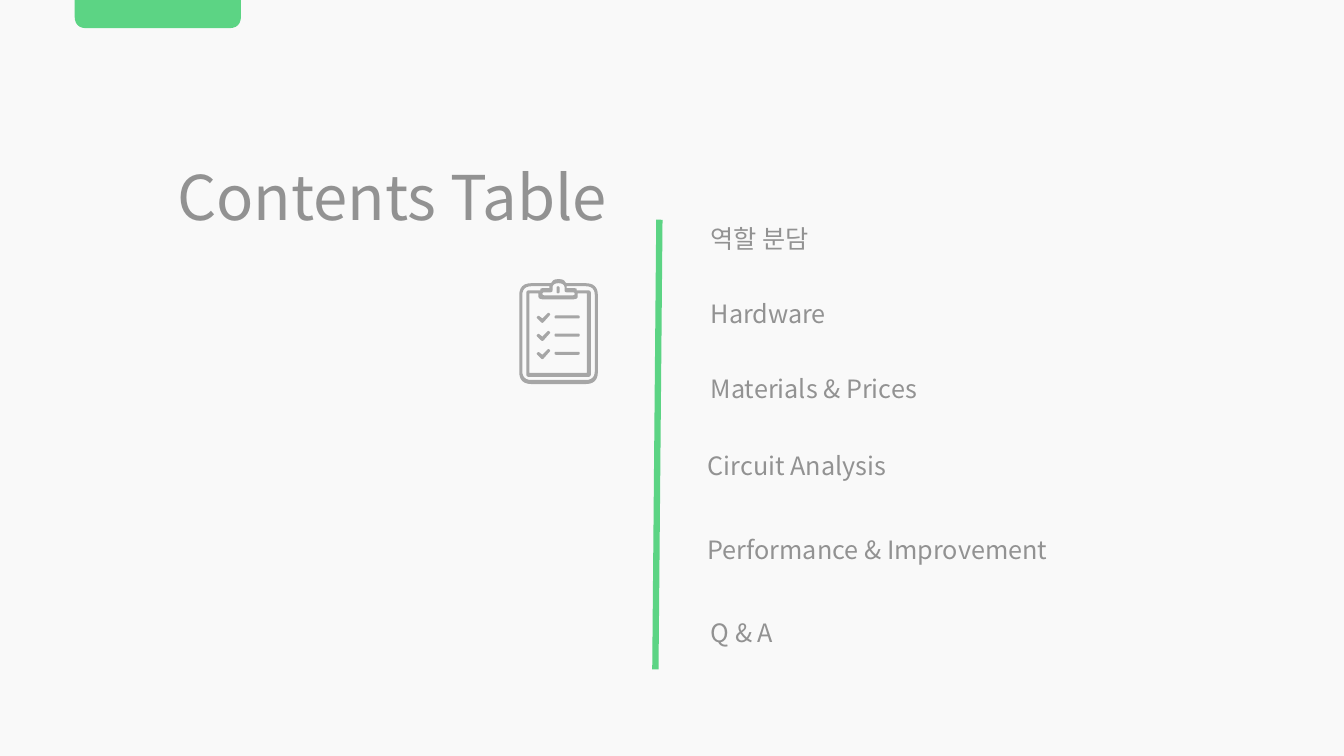
import pptx
import pptx.dml.color
import pptx.enum.shapes
import pptx.enum.text
import pptx.oxml
import pptx.oxml.ns
import pptx.util
from pptx.util import Inches

THEME = {
    "background": pptx.dml.color.RGBColor.from_string("F9F9F9"),
    "accent": pptx.dml.color.RGBColor.from_string("5CD484"),
    "text": pptx.dml.color.RGBColor.from_string("929292"),
    "icon": pptx.dml.color.RGBColor.from_string("A6A6A6"),
    "font": "Noto Sans CJK KR",
    "title_size": pptx.util.Pt(44),
    "topic_size": pptx.util.Pt(18),
    "divider_width": pptx.util.Pt(4.5),
}

# Topic, offset from the left and from the top of the list
TOPICS = [
    ("역할 분담", 0.03, 0),
    ("Hardware", 0.03, 0.74),
    ("Materials & Prices", 0.03, 1.48),
    ("Circuit Analysis", 0, 2.25),
    ("Performance & Improvement", 0, 3.08),
    ("Q & A", 0.03, 3.91),
]

# Outlines of the clipboard as corners: x, y, corner radius
BOARD = [
    [(0, 0.04, 0.12), (0.32, 0.04, 0.02), (0.34, 0, 0.05), (0.44, 0, 0.05),
     (0.46, 0.04, 0.02), (0.78, 0.04, 0.12), (0.78, 1.04, 0.12), (0, 1.04, 0.12)],
    [(0.33, 0.13, 0.02), (0.33, 0.04, 0.06), (0.45, 0.04, 0.06), (0.45, 0.13, 0.02),
     (0.55, 0.13, 0.02), (0.55, 0.16, 0.02), (0.23, 0.16, 0.02), (0.23, 0.13, 0.02)],
    [(0.1, 0.14, 0), (0.19, 0.14, 0), (0.19, 0.2, 0.05), (0.58, 0.2, 0.05),
     (0.58, 0.14, 0), (0.67, 0.14, 0), (0.67, 0.93, 0), (0.1, 0.93, 0)],
    [(0.03, 0.07, 0.09), (0.3, 0.07, 0), (0.3, 0.09, 0), (0.21, 0.09, 0.02),
     (0.21, 0.11, 0), (0.07, 0.11, 0.03), (0.07, 0.97, 0.03), (0.71, 0.97, 0.03),
     (0.71, 0.11, 0.03), (0.57, 0.11, 0), (0.57, 0.09, 0.02), (0.47, 0.09, 0),
     (0.47, 0.07, 0), (0.75, 0.07, 0.09), (0.75, 1, 0.09), (0.03, 1, 0.09)],
]
CHECK = [(0, 0.05, 0.01), (0.02, 0.03, 0.01), (0.06, 0.06, 0),
         (0.12, 0, 0.01), (0.14, 0.02, 0.01), (0.06, 0.11, 0.02)]


def bar(width, height):
    radius = min(width, height) / 2
    return [(0, 0, radius), (width, 0, radius),
            (width, height, radius), (0, height, radius)]


def rounded(corners, steps=6):
    """Points of a polygon whose corners are rounded by curves."""
    points = []
    for i, (x, y, radius) in enumerate(corners):
        ends = []
        for nx, ny, _ in (corners[i - 1], corners[(i + 1) % len(corners)]):
            length = ((nx - x) ** 2 + (ny - y) ** 2) ** 0.5
            share = min(radius / length, 0.5)
            ends.append((x + (nx - x) * share, y + (ny - y) * share))
        (ax, ay), (bx, by) = ends
        for t in ([n / steps for n in range(steps + 1)] if radius else [0]):
            points.append(((1 - t) ** 2 * ax + 2 * t * (1 - t) * x + t * t * bx,
                           (1 - t) ** 2 * ay + 2 * t * (1 - t) * y + t * t * by))
    return points


def add_outline(shapes, left, top, contours, color):
    builder = None
    for corners in contours:
        points = [(Inches(left + x), Inches(top + y)) for x, y in rounded(corners)]
        if builder is None:
            builder = shapes.build_freeform(*points[0])
        else:
            builder.move_to(*points[0])
        builder.add_line_segments(points[1:], close=True)
    outline = builder.convert_to_shape()
    outline.shadow.inherit = False
    outline.fill.solid()
    outline.fill.fore_color.rgb = color
    outline.line.fill.background()


def add_label(slide, left, top, width, height, text, size, align=None):
    label = slide.shapes.add_textbox(*map(Inches, (left, top, width, height)))
    frame = label.text_frame
    frame.word_wrap = True
    frame.auto_size = pptx.enum.text.MSO_AUTO_SIZE.SHAPE_TO_FIT_TEXT
    paragraph = frame.paragraphs[0]
    paragraph.alignment = align
    run = paragraph.add_run()
    run.text = text
    for name, value in {"name": THEME["font"], "size": size}.items():
        setattr(run.font, name, value)
    run.font.color.rgb = THEME["text"]
    # Korean letters take the East Asian typeface
    east_asian = pptx.oxml.parse_xml(
        f'<a:ea {pptx.oxml.ns.nsdecls("a")} typeface="{THEME["font"]}"/>')
    run.font._element.append(east_asian)


def add_tab(slide, left, top, width, height):
    corners = [(0, 0, 0), (width, 0, 0), (width, height, 0.12), (0, height, 0.12)]
    add_outline(slide.shapes, left, top, [corners], THEME["accent"])


def add_divider(slide, left, top, width, height):
    divider = slide.shapes.add_connector(
        pptx.enum.shapes.MSO_CONNECTOR.STRAIGHT,
        *map(Inches, (left + width, top, left, top + height)))
    divider.line.color.rgb = THEME["accent"]
    divider.line.width = THEME["divider_width"]
    divider._element.spPr.append(
        pptx.oxml.parse_xml(f'<a:effectLst {pptx.oxml.ns.nsdecls("a")}/>'))


def add_clipboard(slide, left, top):
    icon = slide.shapes.add_group_shape().shapes
    parts = [(0, 0, BOARD), (0.37, 0.07, [bar(0.03, 0.07)])]
    for row in range(3):
        drop = row * 0.18
        parts += [(0.35, 0.36 + drop, [bar(0.25, 0.03)]),
                  (0.17, 0.33 + drop, [CHECK])]
    for x, y, contours in parts:
        add_outline(icon, left + x, top + y, contours, THEME["icon"])


def add_topics(slide, left, top, width, row_height):
    for topic, dx, dy in TOPICS:
        add_label(slide, left + dx, top + dy, width, row_height,
                  topic, THEME["topic_size"])


def add_contents_slide(deck):
    slide = deck.slides.add_slide(deck.slide_layouts[6])
    slide.background.fill.solid()
    slide.background.fill.fore_color.rgb = THEME["background"]
    add_tab(slide, 0.74, 0, 1.65, 0.28)
    add_label(slide, 0.74, 1.53, 5.38, 0.84, "Contents Table",
              THEME["title_size"], pptx.enum.text.PP_ALIGN.RIGHT)
    add_clipboard(slide, 5.15, 2.77)
    add_divider(slide, 6.5, 2.18, 0.04, 4.46)
    add_topics(slide, 6.92, 2.17, 3.95, 0.4)


def main():
    deck = pptx.Presentation()
    deck.slide_width = Inches(13.33)
    deck.slide_height = Inches(7.5)
    add_contents_slide(deck)
    deck.save("out.pptx")


if __name__ == "__main__":
    main()
